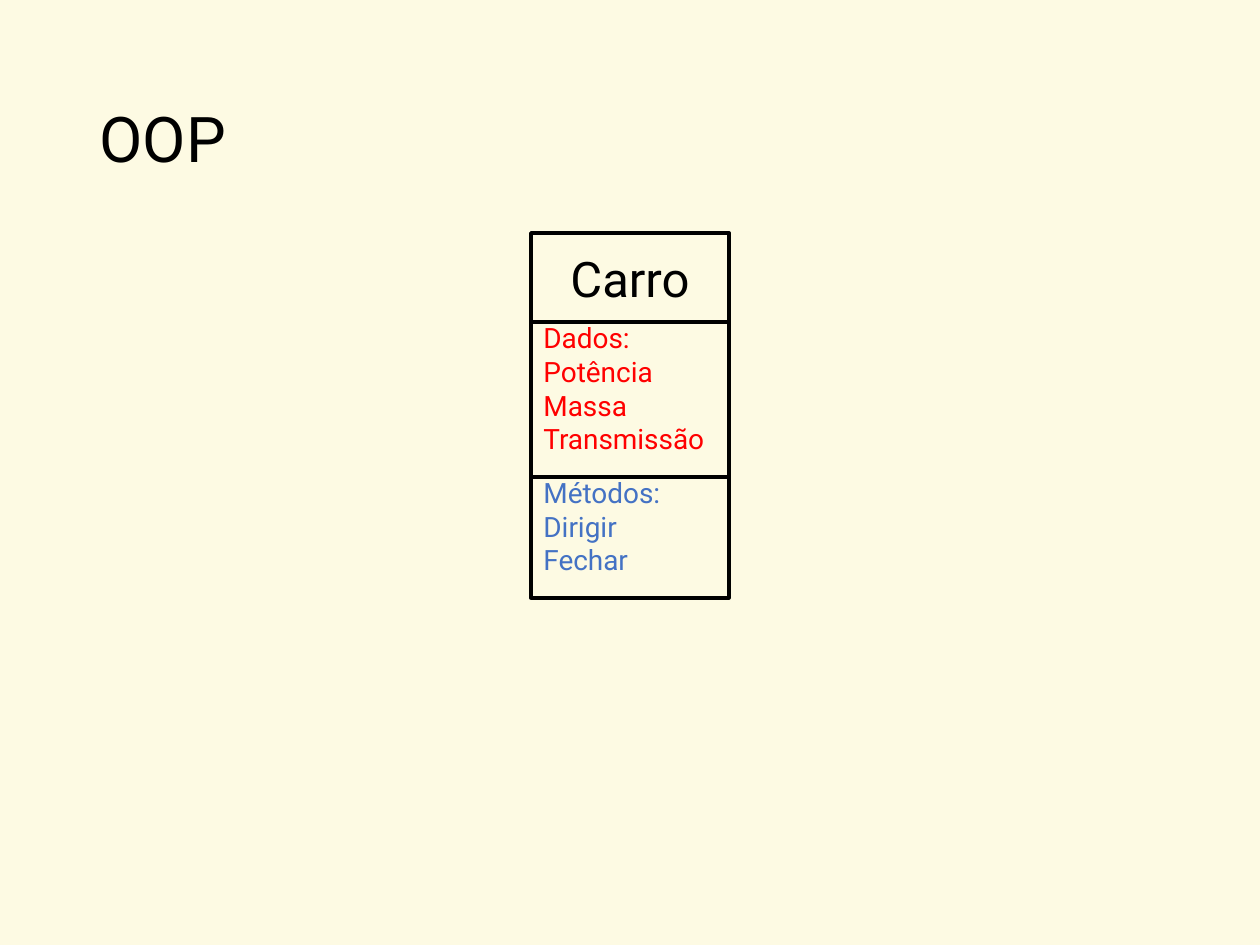
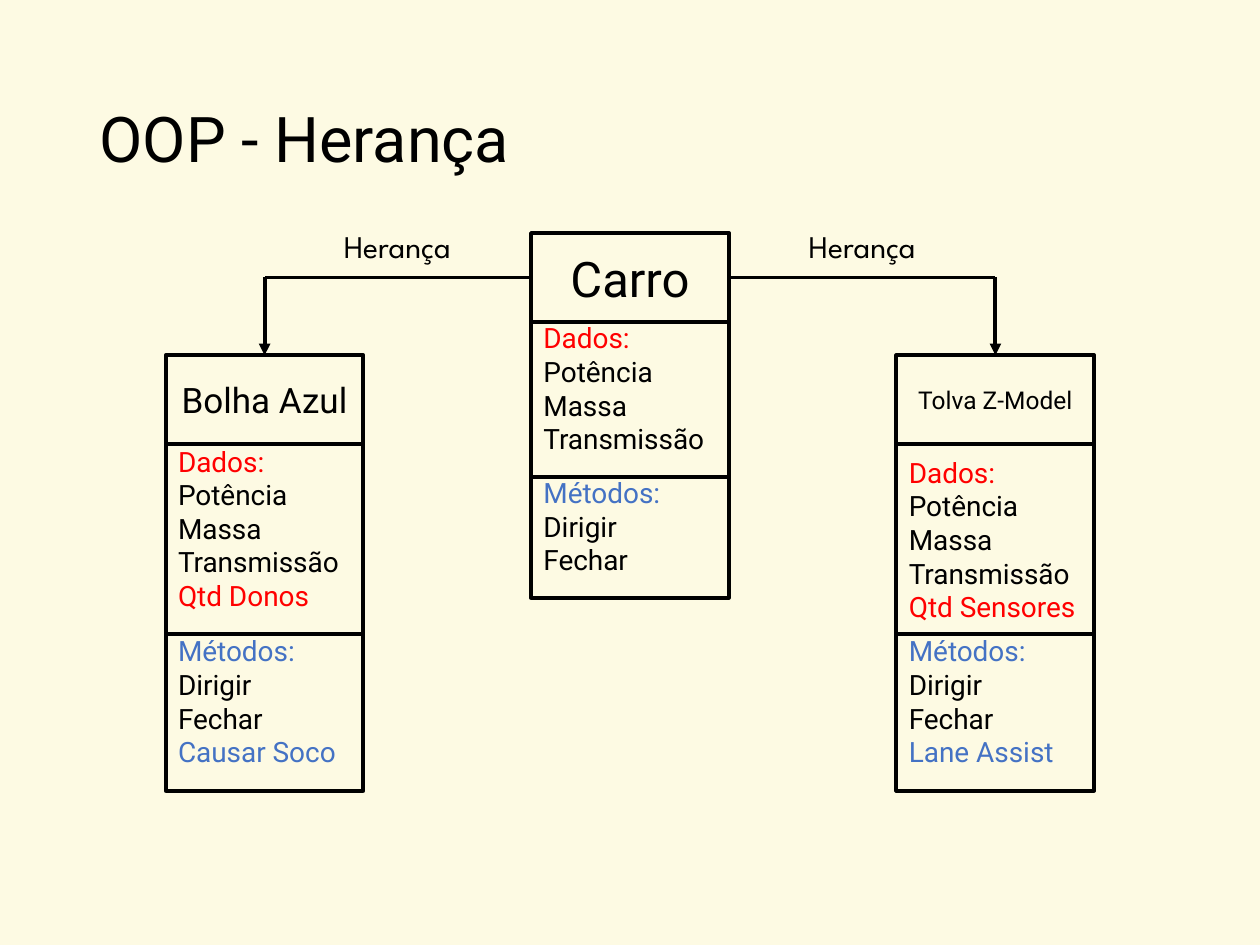
"""Builds two slides that explain classes and inheritance with class boxes."""
from pptx import Presentation, util as u
from pptx.dml.color import RGBColor
from pptx.enum import shapes, text
from pptx.oxml.ns import qn
from lxml import etree

BLACK, CREAM, RED, BLUE = "000000", "FDFAE3", "FF0000", "4472C4"
COLUMNS, ROWS = 100, 75
BOX_WIDTH, HEADER_HEIGHT = 15.7, 7.05
CENTRE, BRANCH_OFFSET = 50, 29
PARENT_TOP, CHILD_TOP = 18.5, 28.2
PARENT_HEIGHTS, CHILD_HEIGHTS = (12.3, 9.6), (15.1, 12.4)
DATA = ["Potência", "Massa", "Transmissão"]
METHODS = ["Dirigir", "Fechar"]


def colour(value):
    return RGBColor.from_string(value)


class ClassDeck:
    def __init__(self):
        self.deck = Presentation()
        self.deck.slide_width, self.deck.slide_height = u.Inches(10), u.Inches(7.5)
        background = self.deck.slide_master.background.fill
        background.solid()
        background.fore_color.rgb = colour(CREAM)
        self.page = None

    def x(self, columns):
        return round(self.deck.slide_width * columns / COLUMNS)

    def y(self, rows):
        return round(self.deck.slide_height * rows / ROWS)

    def area(self, left, top, width, height):
        return self.x(left), self.y(top), self.x(width), self.y(height)

    def style(self, span, size, shade=BLACK, font="Roboto"):
        span.font.name, span.font.size = font, u.Pt(size)
        span.font.color.rgb = colour(shade)

    def add_page(self, title):
        self.page = self.deck.slides.add_slide(self.deck.slide_layouts[5])
        box = self.page.shapes.title
        box.left, box.top, box.width, box.height = self.area(6.9, 4, 86.2, 14.5)
        frame = box.text_frame
        frame.text = title
        frame.auto_size = text.MSO_AUTO_SIZE.NONE
        frame.vertical_anchor = text.MSO_ANCHOR.MIDDLE
        para = frame.paragraphs[0]
        para.alignment, para.line_spacing = text.PP_ALIGN.LEFT, 0.9
        self.style(para.runs[0], 36)

    def cell(self, group, centre, top, height):
        box = group.shapes.add_shape(
            shapes.MSO_SHAPE.RECTANGLE,
            *self.area(centre - BOX_WIDTH / 2, top, BOX_WIDTH, height))
        box.shadow.inherit = False
        box.fill.background()
        box.line.color.rgb, box.line.width = colour(BLACK), u.Pt(2.25)
        box.text_frame.word_wrap = True
        box.text_frame.vertical_anchor = text.MSO_ANCHOR.MIDDLE
        return box

    def members(self, box, label, inherited, own, accent, space_below=1.8):
        frame = box.text_frame
        frame.margin_top, frame.margin_bottom = 0, self.y(space_below)
        entries = [(name, BLACK) for name in inherited] + [(name, accent) for name in own]
        for index, (name, shade) in enumerate(entries):
            para = frame.add_paragraph() if index else frame.paragraphs[0]
            para.alignment = text.PP_ALIGN.LEFT
            if index == 0:
                para.text = f"{label}: "
                self.style(para.runs[0], 16, accent)
            span = para.add_run()
            span.text = name
            self.style(span, 16, shade)

    def class_box(self, name, size, centre, top, heights, data, methods, data_space=1.8):
        group = self.page.shapes.add_group_shape()
        header = self.cell(group, centre, top, HEADER_HEIGHT)
        header.text_frame.text = name
        para = header.text_frame.paragraphs[0]
        para.alignment = text.PP_ALIGN.CENTER
        self.style(para.runs[0], size)
        data_top = top + HEADER_HEIGHT
        data_box = self.cell(group, centre, data_top, heights[0])
        self.members(data_box, "Dados", *data, RED, data_space)
        method_box = self.cell(group, centre, data_top + heights[0], heights[1])
        self.members(method_box, "Métodos", *methods, BLUE)
        return header

    def line(self, start, end, arrow=False):
        link = self.page.shapes.add_connector(
            shapes.MSO_CONNECTOR.STRAIGHT,
            self.x(start[0]), self.y(start[1]), self.x(end[0]), self.y(end[1]))
        link.line.color.rgb, link.line.width = colour(BLACK), u.Pt(2.25)
        etree.SubElement(link._element.spPr, qn("a:effectLst"))
        if arrow:
            etree.SubElement(link.line._get_or_add_ln(), qn("a:tailEnd"), type="triangle")
        return link

    def label(self, wording, left, top):
        box = self.page.shapes.add_textbox(*self.area(left, top, 11.9, 4))
        frame = box.text_frame
        frame.text = wording
        frame.word_wrap = False
        frame.auto_size = text.MSO_AUTO_SIZE.SHAPE_TO_FIT_TEXT
        self.style(frame.paragraphs[0].runs[0], 18, font="League Spartan")

    def inheritance(self, parent, child, side, centre, label_left):
        direction = 1 if side == 3 else -1
        level = PARENT_TOP + HEADER_HEIGHT / 2
        corner = (centre, level)
        branch = self.line((CENTRE + direction * BOX_WIDTH / 2, level), corner)
        branch.begin_connect(parent, side)
        drop = self.line(corner, (centre, CHILD_TOP), arrow=True)
        drop.end_connect(child, 0)
        self.label("Herança", label_left, 17.5)


def main():
    show = ClassDeck()

    show.add_page("OOP")
    show.class_box("Carro", 28, CENTRE, PARENT_TOP, PARENT_HEIGHTS,
                   ([], DATA), ([], METHODS))

    show.add_page("OOP - Herança")
    parent = show.class_box("Carro", 28, CENTRE, PARENT_TOP, PARENT_HEIGHTS,
                            (DATA, []), (METHODS, []))
    children = [
        ("Tolva Z-Model", 14, "Qtd Sensores", "Lane Assist", 0, 3, 63.2),
        ("Bolha Azul", 20, "Qtd Donos", "Causar Soco", 1.8, 1, 26.3),
    ]
    for name, size, datum, method, space, side, label_left in children:
        centre = CENTRE + (BRANCH_OFFSET if side == 3 else -BRANCH_OFFSET)
        child = show.class_box(name, size, centre, CHILD_TOP, CHILD_HEIGHTS,
                               (DATA, [datum]), (METHODS, [method]), space)
        show.inheritance(parent, child, side, centre, label_left)

    show.deck.save("out.pptx")


if __name__ == "__main__":
    main()
